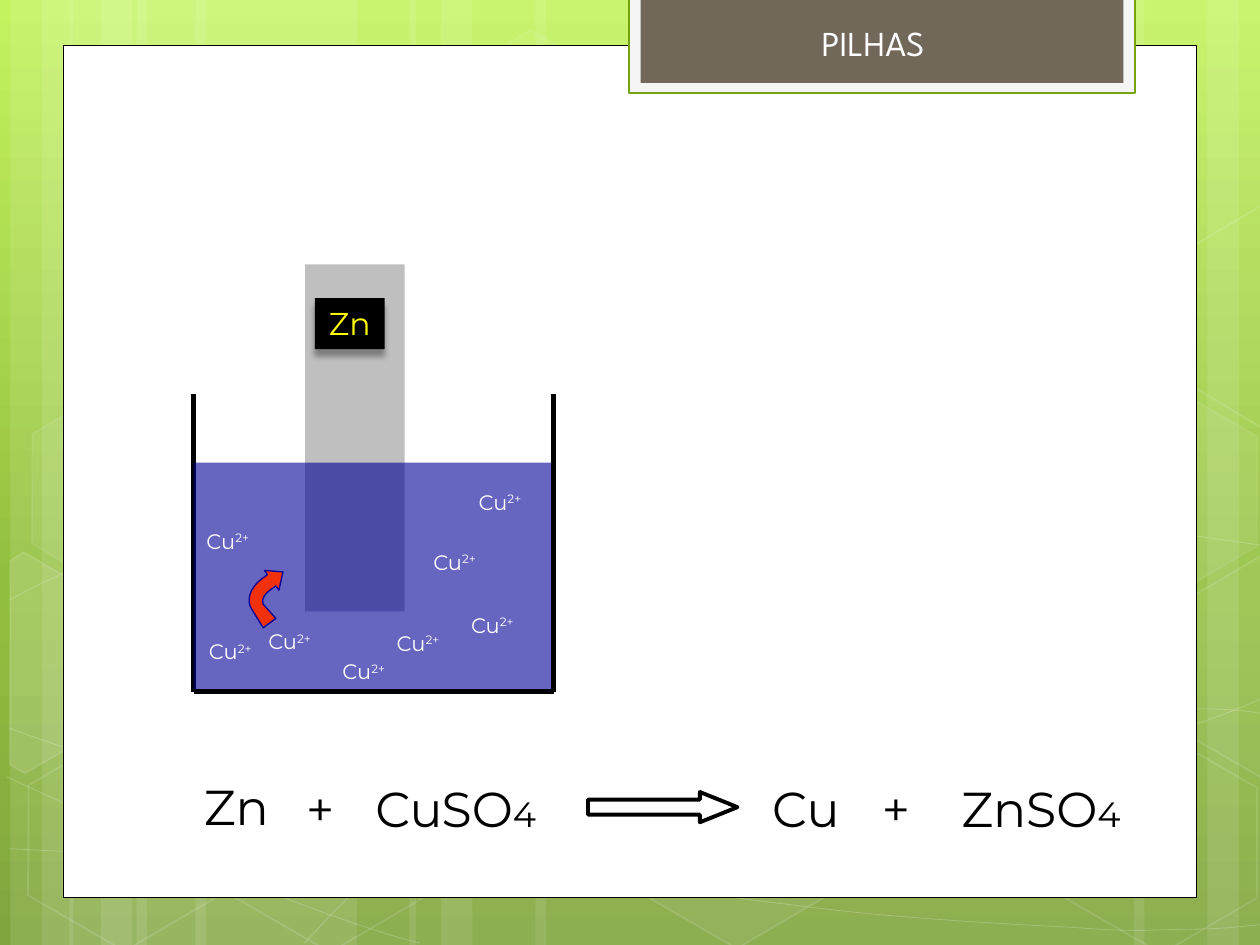
from copy import deepcopy
from math import cos, radians, sin

from lxml import etree
from pptx import Presentation
from pptx.dml.color import RGBColor
from pptx.enum.shapes import MSO_CONNECTOR, MSO_SHAPE
from pptx.enum.text import MSO_ANCHOR, MSO_AUTO_SIZE, PP_ALIGN
from pptx.oxml.ns import qn
from pptx.util import Pt

RECT, HEX, ARROW = MSO_SHAPE.RECTANGLE, MSO_SHAPE.HEXAGON, MSO_SHAPE.RIGHT_ARROW
LINE = MSO_CONNECTOR.STRAIGHT
LEFT, MID = PP_ALIGN.LEFT, PP_ALIGN.CENTER
TOP, CENTER, BASE = MSO_ANCHOR.TOP, MSO_ANCHOR.MIDDLE, MSO_ANCHOR.BOTTOM
GROW = MSO_AUTO_SIZE.SHAPE_TO_FIT_TEXT

COLORS = {
    "white": "FFFFFF", "black": "000000", "lime": "C3F35F", "leaf": "93BF3F",
    "moss": "81A53E", "pale": "F5F5F5", "green": "74A510", "brown": "71685A",
    "zinc": "BFBFBF", "blue": "000099", "yellow": "FFFF00", "red": "F1310B",
}
BANDS = [(78, 126), (6, 36), (24, 60), (111.6, 126), (39.6, 36), (57.6, 60),
         (528, 126), (690, 36), (648, 60), (306, 222), (234, 36), (252, 60)]
# Each curve: a start, then three points for every cubic piece
CURVES = [
    [(5, 484.6), (43.9, 486.7), (82.8, 488.9), (136.8, 488.2), (190.8, 487.4),
     (257.8, 486), (329.8, 478.8), (401.8, 471.6), (504, 457.9), (570.2, 444.2),
     (635.8, 430.6), (703.4, 409), (725, 396.7)],
    [(5, 343.4), (25.9, 332), (46.8, 321.1), (87.1, 310.3), (128.2, 299.5),
     (186.5, 283.7), (249.8, 278.6), (313.9, 273.6), (391.7, 272.9),
     (470.9, 278.6), (550.1, 284.4), (681.8, 306.7), (725, 312.5)],
    [(4.3, 444.2), (91.4, 483.8), (177.8, 523.4), (240.5, 539.3)],
    [(5, 416.2), (27.4, 424.1), (50.4, 432), (92.2, 443.5), (133.9, 454.3),
     (196.6, 472.3), (257, 484.6), (316.8, 496.8), (392.4, 509.8), (452.2, 517),
     (511.9, 524.9), (576, 527.8), (614.2, 529.9), (651.6, 532.8),
     (661.7, 531.4), (680.4, 531.4), (699.1, 530.6), (712.1, 529.2), (725, 528.5)],
    [(174.2, 539.3), (187.2, 524.9), (200.2, 510.5), (217.4, 497.5),
     (234.7, 484.6), (259.2, 470.2), (279.4, 460.1), (299.5, 450),
     (311.8, 445.7), (338.4, 438.5), (364.3, 431.3), (412.6, 421.2),
     (437.8, 416.2), (463.7, 411.1), (467.3, 411.1), (489.6, 409.7),
     (511.9, 407.5), (547.2, 405.4), (571.7, 404.6), (610, 403.9),
     (648, 404.6), (686.2, 404.6), (699.1, 405.4), (711.4, 406.1), (724.3, 407.5)],
]
# Left, top, fill opacity and line opacity in percent
CELLS = [(240.5, 25.9, 4, 8), (357.8, 424.1, 6, 12), (7.9, 425.5, 0, 12),
         (10.1, 224.6, 7, 8), (125.3, 426.2, 0, 12), (600.5, 427, 0, 12),
         (600.5, 226.1, 7, 8)]
# Hexagons cut by the slide's edge: points, middle and fill opacity
PARTS = [
    ([(5.8, 320.4), (13.7, 315.4), (69.1, 347), (68.4, 410.4), (14.4, 442.1),
      (5.8, 437)], (25.9, 385.2), 10),
    ([(666.7, 349.2), (720.7, 317.5), (726.5, 321.1), (726.5, 441.4),
      (721.4, 444.2), (666.7, 412.6)], (709.2, 374.4), 4),
    ([(666.7, 149), (720.7, 117.4), (727.2, 121), (726.5, 241.2),
      (721.4, 244.1), (666.7, 212.4)], (709.2, 173.5), 0),
]
HOOK = [(161.3, 326.9), (150.5, 326.2), (152.6, 329), (149.8, 331.2),
        (142.6, 336.2), (140.4, 344.2), (144, 349.2), (150.5, 358.6),
        (157.5, 354), (150.5, 344.9), (149, 342.7), (151.2, 339.8),
        (154.1, 337), (157, 334.8), (159.1, 337.7)]
IONS = [(110.9, 298.3), (146.2, 355.9), (112.3, 361.4), (188.6, 373),
        (240.5, 310.3), (262.1, 346.3), (266.4, 276), (219.6, 356.6)]
TERMS = [("Zn", "", 109.4, 54), ("+", "", 167.8, 33.8), ("CuSO", "4", 207.4, 113),
         ("Cu", "", 434.2, 55.4), ("+", "", 496.8, 33.8), ("ZnSO", "4", 542.2, 111.6)]


def tint(fill, name, alpha=100):
    """Solid fill, with an opacity in percent."""
    if not name or not alpha:
        fill.background()
        return
    fill.solid()
    fill.fore_color.rgb = RGBColor.from_string(COLORS[name])
    if alpha < 100:
        color = fill._xPr.find(".//" + qn("a:srgbClr"))
        etree.SubElement(color, qn("a:alpha"), val=str(alpha * 1000))


def style(shape, fill=None, alpha=100, line=None, width=1, clear=100):
    shape.shadow.inherit = False
    tint(shape.fill, fill, alpha)
    tint(shape.line.fill, line, clear)
    if line:
        shape.line.width = Pt(width)
    return shape


def block(slide, box, kind=RECT, **look):
    return style(slide.shapes.add_shape(kind, *map(Pt, box)), **look)


def turn(points, mid, angle):
    """Points turned clockwise about a middle."""
    c, s = cos(radians(angle)), sin(radians(angle))
    return [(mid[0] + (x - mid[0]) * c - (y - mid[1]) * s,
             mid[1] + (x - mid[0]) * s + (y - mid[1]) * c) for x, y in points]


def trace(slide, points, close=True, bends=(), mid=(0, 0), angle=0, **look):
    """Outline; each bend is where three steps become one cubic piece."""
    points = turn(points, mid, -angle)
    pen = slide.shapes.build_freeform(*points[0], scale=Pt(1))
    pen.add_line_segments(points[1:], close=close)
    shape = style(pen.convert_to_shape(), **look)
    shape.rotation = angle
    steps = list(shape._element.iter(qn("a:lnTo")))
    for i in bends:
        first, *rest = steps[i:i + 3]
        first.tag = qn("a:cubicBezTo")
        for step in rest:
            first.append(step[0])
            step.getparent().remove(step)


def rule(slide, *ends):
    wire = slide.shapes.add_connector(LINE, *map(Pt, ends))
    wire.line.width = Pt(3)
    tint(wire.line.fill, "black")
    etree.SubElement(wire._element.spPr, qn("a:effectLst"))


def write(shape, text, tail="", size=12, small=None, lift=0, color="white",
          font="Montserrat", align=LEFT, anchor=TOP, wrap=False):
    """Put text, and a smaller or raised tail, into a shape."""
    frame = shape.text_frame
    frame.word_wrap = wrap
    frame.vertical_anchor = anchor
    if not wrap:
        frame.auto_size = GROW
    para = frame.paragraphs[0]
    para.alignment = align
    for word, pts, base in ((text, size, 0), (tail, small or size, lift)):
        if word:
            run = para.add_run()
            run.text = word
            run.font.size, run.font.name = Pt(pts), font
            tint(run.font.fill, color)
            if base:
                run.font._element.set("baseline", str(base * 1000))


def label(slide, box, text, **look):
    write(slide.shapes.add_textbox(*map(Pt, box)), text, **look)


def shade(shape):
    """Soft shadow below a shape."""
    effects = shape._element.spPr.find(qn("a:effectLst"))
    outer = etree.SubElement(effects, qn("a:outerShdw"), blurRad=str(Pt(3.5)),
                             dist=str(Pt(4)), dir="5400000", rotWithShape="0")
    color = etree.SubElement(outer, qn("a:srgbClr"), val=COLORS["black"])
    etree.SubElement(color, qn("a:alpha"), val="34000")


def backdrop(slide):
    fill = slide.background.fill
    fill.gradient()
    fill.gradient_angle = 270
    stops = slide.element.find(".//" + qn("a:gsLst"))
    stops.append(deepcopy(stops[-1]))
    for stop, name, pos in zip(fill.gradient_stops, ("lime", "leaf", "moss"),
                               (0, 0.62, 1)):
        stop.color.rgb = RGBColor.from_string(COLORS[name])
        stop.position = pos
    for left, width in BANDS:
        block(slide, (left, 0, width, 540), fill="white", alpha=10)
    for points in CURVES:
        trace(slide, points, close=False, bends=range(0, len(points) - 1, 3),
              line="white", width=0.5, clear=20)
    for left, top, alpha, clear in CELLS:
        cell = block(slide, (left, top, 126, 109.4), HEX, fill="white",
                     alpha=alpha, line="white", clear=clear)
        cell.adjustments[0] = 0.285
        cell.rotation = 30
    for points, mid, alpha in PARTS:
        trace(slide, points, mid=mid, angle=30, fill="white", alpha=alpha,
              line="white", clear=12)


def panel(slide):
    block(slide, (36, 25.9, 648, 487), fill="white", line="black", width=0.5)
    block(slide, (359.2, -1.4, 289.5, 54.7), fill="pale", line="green", width=1.25)
    block(slide, (366, -1.4, 276, 48.8), fill="brown")
    label(slide, (371.5, 20.6, 254.9, 19.4), "PILHAS", size=20,
          font="League Spartan", align=MID, anchor=BASE, wrap=True)


def beaker(slide):
    left, right, rim, floor = 110.6, 316.3, 225.4, 395.3
    block(slide, (174.4, 151, 56.9, 198.4), fill="zinc")
    rule(slide, left, rim, left, floor)
    block(slide, (left, 264.4, right - left, floor - 264.4), fill="blue", alpha=60)
    rule(slide, right, rim, right, floor)
    rule(slide, right, floor, left, floor)
    tag = block(slide, (180, 170.4, 39.9, 29.1), fill="black")
    shade(tag)
    write(tag, "Zn", size=18, color="yellow", align=MID)
    for x, y in IONS:
        label(slide, (x, y, 42.5, 21.8), "Cu", tail="2+", lift=30)
    # Curved arrow from the ions to the zinc
    trace(slide, HOOK, bends=(3, 9), mid=(154.1, 340.2), angle=323.6,
          fill="red", line="blue", width=0.75)


def formula(slide):
    for text, tail, left, width in TERMS:
        top = 439.9 if text == "Zn" else 441.4
        label(slide, (left, top, width, 41), text, tail=tail, size=28, small=20,
              color="black", anchor=CENTER)
    arrow = block(slide, (336, 452.6, 85.4, 17.3), ARROW, fill="white",
                  line="black", width=2.25)
    arrow.adjustments[0], arrow.adjustments[1] = 0.5, 1.24


def main():
    deck = Presentation()
    deck.slide_width, deck.slide_height = Pt(720), Pt(540)
    slide = deck.slides.add_slide(deck.slide_layouts[6])
    for draw in (backdrop, panel, beaker, formula):
        draw(slide)
    deck.save("out.pptx")


if __name__ == "__main__":
    main()
